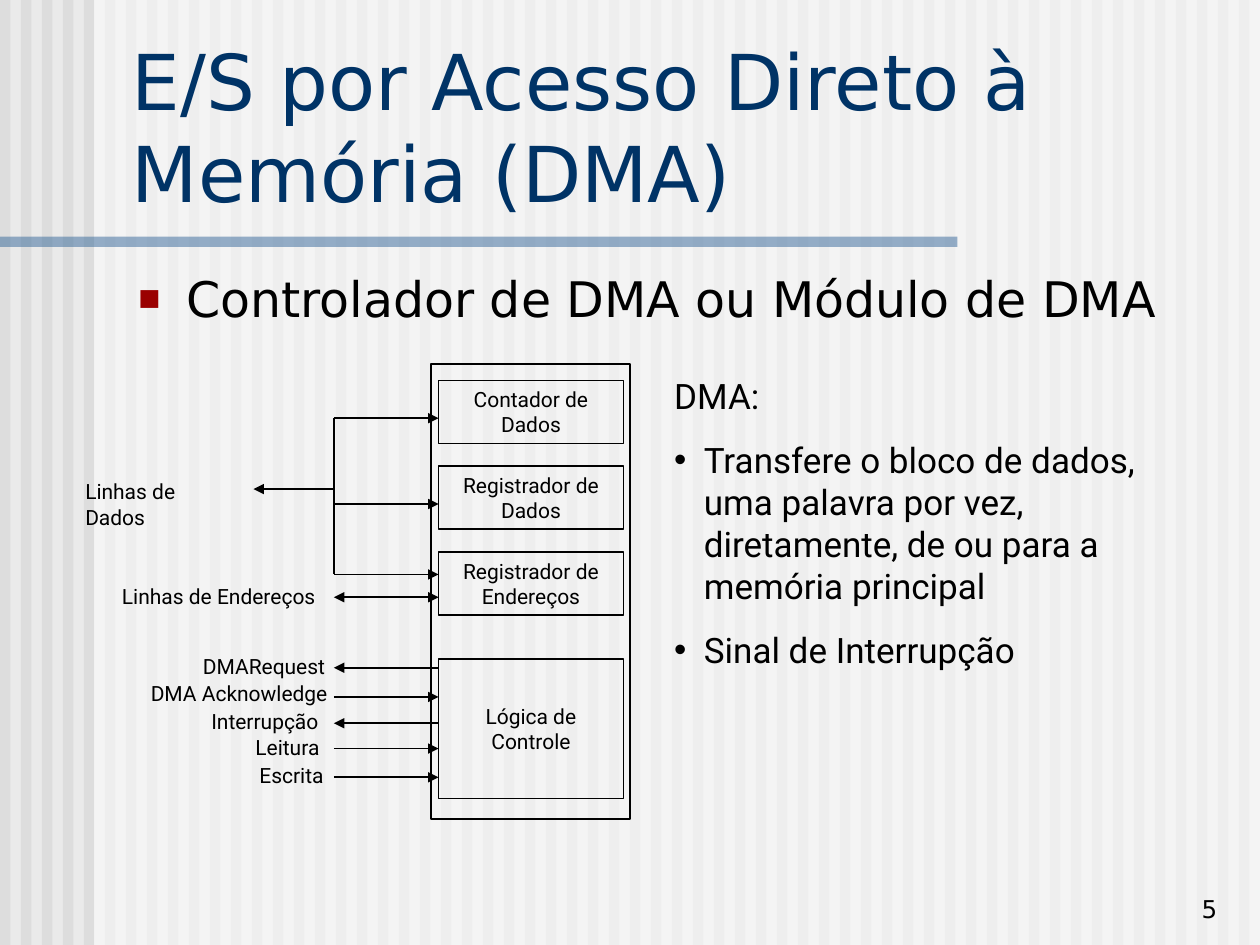
from dataclasses import dataclass

from lxml.etree import SubElement
from pptx import Presentation
from pptx.dml.color import RGBColor
from pptx.enum.shapes import MSO_CONNECTOR, MSO_SHAPE
from pptx.enum.text import MSO_ANCHOR, PP_ALIGN
from pptx.oxml.ns import qn
from pptx.util import Cm, Pt


@dataclass(frozen=True)
class Theme:
    back: str = "EAEAEA"
    stripe: str = "DDDDDD"
    veil: str = "FFFFFF"
    bar: str = "336699"
    title: str = "003366"
    marker: str = "9A0000"
    ink: str = "000000"
    heading: str = "DejaVu Sans"
    text: str = "Roboto"
    title_size: int = 44
    body_size: int = 28
    note_size: int = 20
    page_size: int = 14
    label_size: int = 12
    line: int = 1


T = Theme()
W, H = 25.4, 19.05
STRIPES = 60

TITLE = "E/S por Acesso Direto à Memória (DMA)"
TOPIC = "Controlador de DMA ou Módulo de DMA"
PAGE = "5"
NOTES = [
    ("DMA:", False),
    ("Transfere o bloco de dados, uma palavra por vez, diretamente, "
     "de ou para a memória principal", True),
    ("Sinal de Interrupção", True),
]
REGISTERS = ["Contador de Dados", "Registrador de Dados", "Registrador de Endereços"]
CONTROL = "Lógica de Controle"
DATA_LABEL = ("Linhas de Dados", 1.47, 9.53, 3.5, 1.27)
SIGNALS = [
    ("Linhas de Endereços", 2.21, 11.63, 4.78, 12.04, "both"),
    ("DMARequest", 3.84, 13.06, 3.51, 13.46, "out"),
    ("DMA Acknowledge", 2.79, 13.59, 4.24, 14.05, "in"),
    ("Interrupção", 4.01, 14.15, 2.9, 14.58, "out"),
    ("Leitura", 4.9, 14.68, 2.92, 15.09, "in"),
    ("Escrita", 4.98, 15.24, 2.92, 15.67, "in"),
]
BLOCK_X, BLOCK_W, BLOCK_H = 8.84, 3.73, 1.27
BLOCK_TOP, BLOCK_STEP = 7.67, 1.73
BUS_X, BUS_END, BUS_Y = 6.73, 5.11, 9.86
BRANCHES = [8.43, 10.16, 11.58]

prs = Presentation()
prs.slide_width, prs.slide_height = Cm(W), Cm(H)
s = prs.slides.add_slide(prs.slide_layouts[6])
s.background.fill.solid()
s.background.fill.fore_color.rgb = RGBColor.from_string(T.back)


def apply(obj, **values):
    for name, value in values.items():
        setattr(obj, name, value)


def add_bullet(p, char, color, indent, size=100):
    pPr = p._p.get_or_add_pPr()
    apply_xml = {"marL": str(Cm(indent)), "indent": str(-Cm(indent))}
    for name, value in apply_xml.items():
        pPr.set(name, value)
    clr = SubElement(pPr, qn("a:buClr"))
    SubElement(clr, qn("a:srgbClr"), val=color)
    SubElement(pPr, qn("a:buSzPct"), val=str(size * 1000))
    SubElement(pPr, qn("a:buFont"), typeface="Arial")
    SubElement(pPr, qn("a:buChar"), char=char)


def add_run(p, text, font, size, color=T.ink):
    r = p.add_run()
    r.text = text
    apply(r.font, name=font, size=Pt(size))
    r.font.color.rgb = RGBColor.from_string(color)


def add_rect(x, y, w, h, fill=None, alpha=None, line=None):
    sp = s.shapes.add_shape(MSO_SHAPE.RECTANGLE, Cm(x), Cm(y), Cm(w), Cm(h))
    sp.shadow.inherit = False
    if fill:
        sp.fill.solid()
        sp.fill.fore_color.rgb = RGBColor.from_string(fill)
        if alpha:
            clr = sp.fill._xPr.find(".//" + qn("a:srgbClr"))
            SubElement(clr, qn("a:alpha"), val=str(alpha * 1000))
    else:
        sp.fill.background()
    if line:
        sp.line.color.rgb = RGBColor.from_string(line)
        sp.line.width = Pt(T.line)
    else:
        sp.line.fill.background()
    return sp


def add_block(text, y, h):
    tf = add_rect(BLOCK_X, y, BLOCK_W, h, line=T.ink).text_frame
    apply(tf, word_wrap=True, vertical_anchor=MSO_ANCHOR.MIDDLE)
    p = tf.paragraphs[0]
    p.alignment = PP_ALIGN.CENTER
    add_run(p, text, T.text, T.label_size)


def add_text(x, y, w, h, anchor=MSO_ANCHOR.TOP):
    tf = s.shapes.add_textbox(Cm(x), Cm(y), Cm(w), Cm(h)).text_frame
    apply(tf, word_wrap=True, vertical_anchor=anchor)
    return tf


def add_label(text, x, y, w, h=0.76):
    add_run(add_text(x, y, w, h).paragraphs[0], text, T.text, T.label_size)


def add_line(x1, y1, x2, y2, *ends):
    c = s.shapes.add_connector(MSO_CONNECTOR.STRAIGHT, Cm(x1), Cm(y1), Cm(x2), Cm(y2))
    c.line.color.rgb = RGBColor.from_string(T.ink)
    c.line.width = Pt(T.line)
    ln = c.line._get_or_add_ln()
    for end in ends:
        SubElement(ln, qn("a:" + end), type="triangle")
    SubElement(c._element.spPr, qn("a:effectLst"))


for i in range(STRIPES):
    add_rect(i * W / STRIPES, 0, W / STRIPES / 2, H, fill=T.stripe)
add_rect(1.9, 0, W - 1.9, H, fill=T.veil, alpha=50)
add_rect(0, 4.77, 19.3, 0.21, fill=T.bar, alpha=50)

p = add_text(19.51, 17.48, 5.28, 1.27, MSO_ANCHOR.BOTTOM).paragraphs[0]
p.alignment = PP_ALIGN.RIGHT
add_run(p, PAGE, T.heading, T.page_size)

p = add_text(2.41, 0.53, 22.68, 3.99, MSO_ANCHOR.BOTTOM).paragraphs[0]
add_run(p, TITLE, T.heading, T.title_size, T.title)

p = add_text(2.54, 5.28, 22.53, 11.63).paragraphs[0]
add_bullet(p, "■", T.marker, 0.97, 75)
add_run(p, TOPIC, T.heading, T.body_size)

tf = add_text(13.34, 7.42, 11.23, 6.22)
for i, (text, bulleted) in enumerate(NOTES):
    p = tf.add_paragraph() if i else tf.paragraphs[0]
    p.space_before = Pt(12.5)
    if bulleted:
        add_bullet(p, "•", T.ink, 0.6)
    add_run(p, text, T.text, T.note_size)

add_rect(8.69, 7.34, 4.01, 9.17, line=T.ink)
for i, text in enumerate(REGISTERS):
    add_block(text, BLOCK_TOP + i * BLOCK_STEP, BLOCK_H)
add_block(CONTROL, 13.28, 2.82)

HEADS = {"in": ["tailEnd"], "out": ["headEnd"], "both": ["headEnd", "tailEnd"]}
for text, x, top, w, y, way in SIGNALS:
    add_line(BUS_X, y, BLOCK_X, y, *HEADS[way])
    add_label(text, x, top, w)
for y in BRANCHES:
    add_line(BUS_X, y, BLOCK_X, y, "tailEnd")
add_line(BUS_X, BRANCHES[0], BUS_X, BRANCHES[-1])
add_line(BUS_X, BUS_Y, BUS_END, BUS_Y, "tailEnd")
add_label(*DATA_LABEL)

prs.save("out.pptx")
